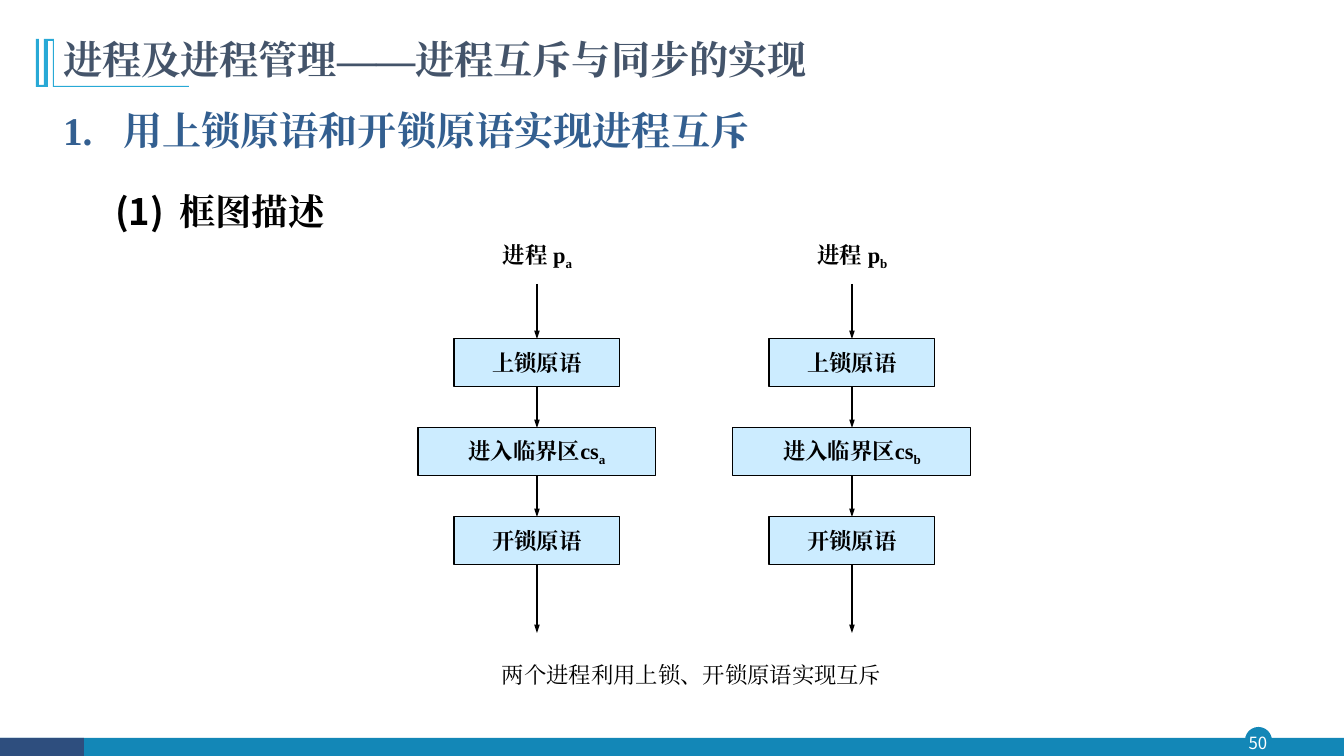
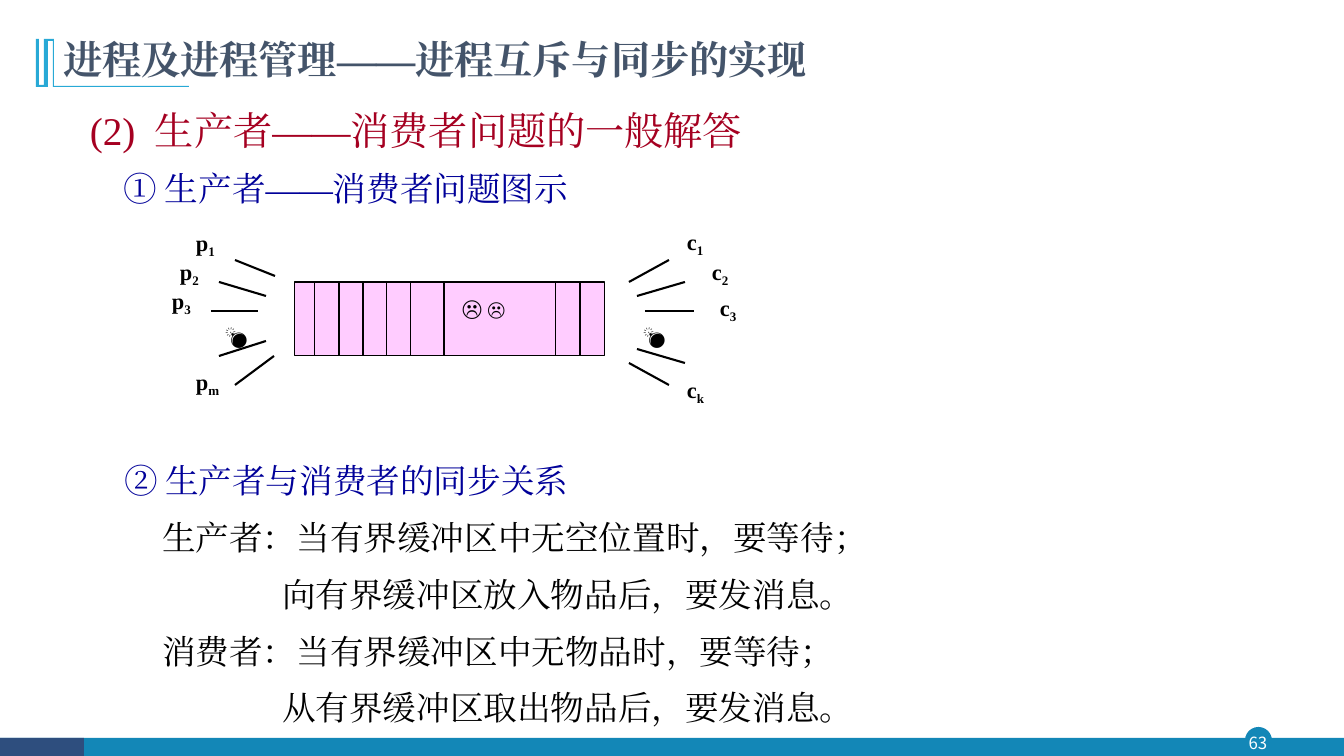
from dataclasses import dataclass

from lxml import etree
from pptx import Presentation
from pptx.dml.color import RGBColor
from pptx.enum.lang import MSO_LANGUAGE_ID as Language
from pptx.enum.shapes import MSO_CONNECTOR as Connector, MSO_SHAPE as Shape
from pptx.enum.text import MSO_ANCHOR as Anchor, MSO_AUTO_SIZE as AutoSize, PP_ALIGN as Align
from pptx.oxml.ns import qn
from pptx.util import Emu, Pt

WIDTH, HEIGHT = 1344, 756
SCALE = 12192000 / WIDTH
SERIF, SANS = "Times New Roman", "Noto Sans CJK SC"
COLORS = {
    "black": "000000", "white": "FFFFFF", "band": "1387B7", "band_end": "2E4E7E",
    "mark": "28A9D6", "title": "44546A", "heading": "335F90", "topic": "A50021",
    "subtopic": "000099", "step": "CCECFF", "buffer": "FFCCFF",
}
TITLE = "进程及进程管理——进程互斥与同步的实现"
TITLE_MARK = [(54, 39), (54, 86), (189, 86), (189, 87), (53, 87), (53, 41), (48, 41),
              (48, 87), (36, 87), (36, 39), (39, 39), (39, 85), (44, 85), (44, 39)]


def px(length):
    return Emu(round(length * SCALE))


def rgb(name):
    return RGBColor.from_string(COLORS[name])


@dataclass
class Line:
    """One paragraph; text after an underscore is set as a subscript."""
    text: str
    size: int = 16
    color: str = "black"
    bold: bool = False
    font: str = SERIF
    align: Align = Align.LEFT
    spacing: float = 1.0
    before: float = 0
    left: int = 0
    indent: int = 0


class Deck:
    def __init__(self):
        self.deck = Presentation()
        self.deck.slide_width, self.deck.slide_height = px(WIDTH), px(HEIGHT)
        self.layout = self.deck.slide_layouts[1]
        self.page = None

    def add_page(self, number):
        self.page = self.deck.slides.add_slide(self.layout)
        if len(self.deck.slides) == 1:
            self.add_frame()
        title = self.page.shapes.title
        self.place(title, 53, 34, 1057, 56)
        self.set_text(title, [Line(TITLE, 28, "title", True, SANS, spacing=0.9)], Anchor.MIDDLE)
        badge = self.text(1242, 727, 32, 31, [Line(str(number), 12, "white", font=SANS,
                                                   align=Align.CENTER)], Anchor.MIDDLE)
        frame = badge.text_frame
        frame.margin_left = frame.margin_right = frame.margin_top = frame.margin_bottom = 0

    def add_frame(self):
        """Draw the shared band and title mark, then hand them to the layout."""
        builder = self.page.shapes.build_freeform(*TITLE_MARK[0], scale=SCALE)
        builder.add_line_segments(TITLE_MARK[1:], close=True)
        parts = [
            self.shape(1245, 727, 27, 27, "band", kind=Shape.OVAL),
            self.shape(0, 738, WIDTH, 18, "band"),
            self.shape(0, 738, 84, 18, "band_end"),
            self.paint(builder.convert_to_shape(), "mark"),
        ]
        for part in parts:
            self.layout.shapes.element.append(part.element)

    def place(self, shape, x, y, width, height):
        shape.left, shape.top, shape.width, shape.height = map(px, (x, y, width, height))

    def paint(self, shape, fill, outline=None):
        shape.shadow.inherit = False
        shape.fill.solid()
        shape.fill.fore_color.rgb = rgb(fill)
        if outline:
            shape.line.color.rgb = rgb(outline)
            shape.line.width = Pt(0.75)
        else:
            shape.line.fill.background()
        return shape

    def shape(self, x, y, width, height, fill, outline=None, kind=Shape.RECTANGLE):
        shape = self.page.shapes.add_shape(kind, px(x), px(y), px(width), px(height))
        return self.paint(shape, fill, outline)

    def text(self, x, y, width, height, lines, anchor=Anchor.TOP):
        box = self.page.shapes.add_textbox(px(x), px(y), px(width), px(height))
        self.set_text(box, lines, anchor)
        return box

    def body(self, x, y, width, height, lines):
        box = self.page.placeholders[1]
        self.place(box, x, y, width, height)
        self.set_text(box, lines)

    def set_text(self, shape, lines, anchor=Anchor.TOP):
        frame = shape.text_frame
        frame.word_wrap, frame.auto_size = True, AutoSize.NONE
        frame.vertical_anchor = anchor
        for index, line in enumerate(lines):
            para = frame.add_paragraph() if index else frame.paragraphs[0]
            self.style_para(para, line)
            base, _, subscript = line.text.partition("_")
            para.add_run().text = base
            if subscript:
                span = para.add_run()
                span.text = subscript
                span.font._element.set("baseline", "-25000")

    def style_para(self, para, line):
        para.alignment, para.line_spacing = line.align, line.spacing
        para.space_before = Pt(line.before)
        properties = para._p.get_or_add_pPr()
        properties.set("marL", str(px(line.left)))
        properties.set("indent", str(px(line.indent)))
        etree.SubElement(properties, qn("a:buNone"))
        font = para.font
        font.size, font.bold, font.name = Pt(line.size), line.bold, line.font
        font.color.rgb = rgb(line.color)
        font.language_id = Language.SIMPLIFIED_CHINESE
        latin = font._element.find(qn("a:latin"))
        latin.addnext(etree.Element(qn("a:ea"), typeface=SERIF))

    def line(self, x1, y1, x2, y2, weight=1.5, arrow=False, start=None, end=None):
        """Draw a line; start is left at its bottom side, end is met at its top side."""
        line = self.page.shapes.add_connector(Connector.STRAIGHT, px(x1), px(y1), px(x2), px(y2))
        if start:
            line.begin_connect(start, 2)
        if end:
            line.end_connect(end, 0)
        line.line.color.rgb = rgb("black")
        line.line.width = Pt(weight)
        properties = line.element.spPr
        if arrow:
            etree.SubElement(properties.find(qn("a:ln")), qn("a:tailEnd"),
                             type="triangle", w="sm", len="med")
        etree.SubElement(properties, qn("a:effectLst"))

    def flow(self, center, name):
        """Draw one process as a column of steps joined by arrows."""
        self.text(center - 62, 236, 125, 37,
                  [Line(f"进程 p_{name}", bold=True, align=Align.CENTER)])
        previous, bottom = None, 284
        steps = [("上锁原语", 166), (f"进入临界区cs_{name}", 238), ("开锁原语", 166)]
        for row, (label, width) in enumerate(steps):
            top = 339 + 89 * row
            step = self.shape(center - width // 2, top, width, 48, "step", "black")
            self.set_text(step, [Line(label, bold=True, align=Align.CENTER)], Anchor.MIDDLE)
            self.line(center, bottom, center, top, 2, True, previous, step)
            previous, bottom = step, top + 48
        self.line(center, bottom, center, 633, 2, True, previous)


def build_lock_page(deck):
    deck.add_page(50)
    deck.body(53, 92, 917, 144, [
        Line("1.\t用上锁原语和开锁原语实现进程互斥", 28, "heading", True,
             spacing=1.2, left=60, indent=-60),
        Line("(1)\t框图描述", 26, bold=True, font=SANS, spacing=1.5, before=10,
             left=116, indent=-64),
    ])
    for center, name in ((537, "a"), (852, "b")):
        deck.flow(center, name)
    deck.text(492, 651, 416, 42, [Line("两个进程利用上锁、开锁原语实现互斥", spacing=1.2)])


def build_buffer_page(deck):
    deck.add_page(63)
    deck.text(80, 92, 926, 66, [Line("(2)\t生产者——消费者问题的一般解答", 28, "topic",
                                     spacing=1.2, left=65, indent=-65)])
    deck.text(114, 155, 682, 58, [Line("①\t生产者——消费者问题图示", 24, "subtopic",
                                       spacing=1.2, left=41, indent=-41)])
    rules = [
        ("生产者：当有界缓冲区中无空位置时，要等待；", 38),
        ("向有界缓冲区放入物品后，要发消息。", 158),
        ("消费者：当有界缓冲区中无物品时，要等待；", 38),
        ("从有界缓冲区取出物品后，要发消息。", 158),
    ]
    deck.body(114, 443, 869, 288, [
        Line("②\t生产者与消费者的同步关系", 24, "subtopic", spacing=1.3, left=41, indent=-41),
        *(Line(text, 24, spacing=1.2, before=6, left=left) for text, left in rules),
    ])

    deck.shape(295, 282, 310, 74, "buffer", "black")
    for x in (315, 339, 363, 387, 411, 444, 556, 580):
        deck.line(x, 282, x, 356, 0.75)
    faces = deck.text(452, 289, 109, 37, [Line("☹ ", bold=True, font=SANS)])
    small_face = faces.text_frame.paragraphs[0].add_run()
    small_face.text = "☹"
    small_face.font.size, small_face.font.name = Pt(14), "Arial"

    producer_spokes = [(235, 260, 275, 276), (219, 282, 266, 296), (211, 311, 258, 311),
                       (219, 356, 266, 341), (235, 385, 274, 356)]
    consumer_spokes = [(629, 282, 669, 260), (637, 296, 685, 282), (645, 311, 694, 311),
                       (637, 349, 685, 363), (629, 363, 669, 385)]
    for spoke in producer_spokes + consumer_spokes:
        deck.line(*spoke)
    labels = [("p_1", 186, 224), ("p_2", 170, 253), ("p_3", 162, 282), ("p_m", 186, 363),
              ("c_1", 677, 223), ("c_2", 702, 253), ("c_3", 710, 289), ("c_k", 677, 371),
              ("💣", 215, 317), ("💣", 633, 317)]
    for label, x, y in labels:
        deck.text(x, y, 60, 37, [Line(label, bold=True)])


def main():
    deck = Deck()
    build_lock_page(deck)
    build_buffer_page(deck)
    deck.deck.save("out.pptx")


if __name__ == "__main__":
    main()
